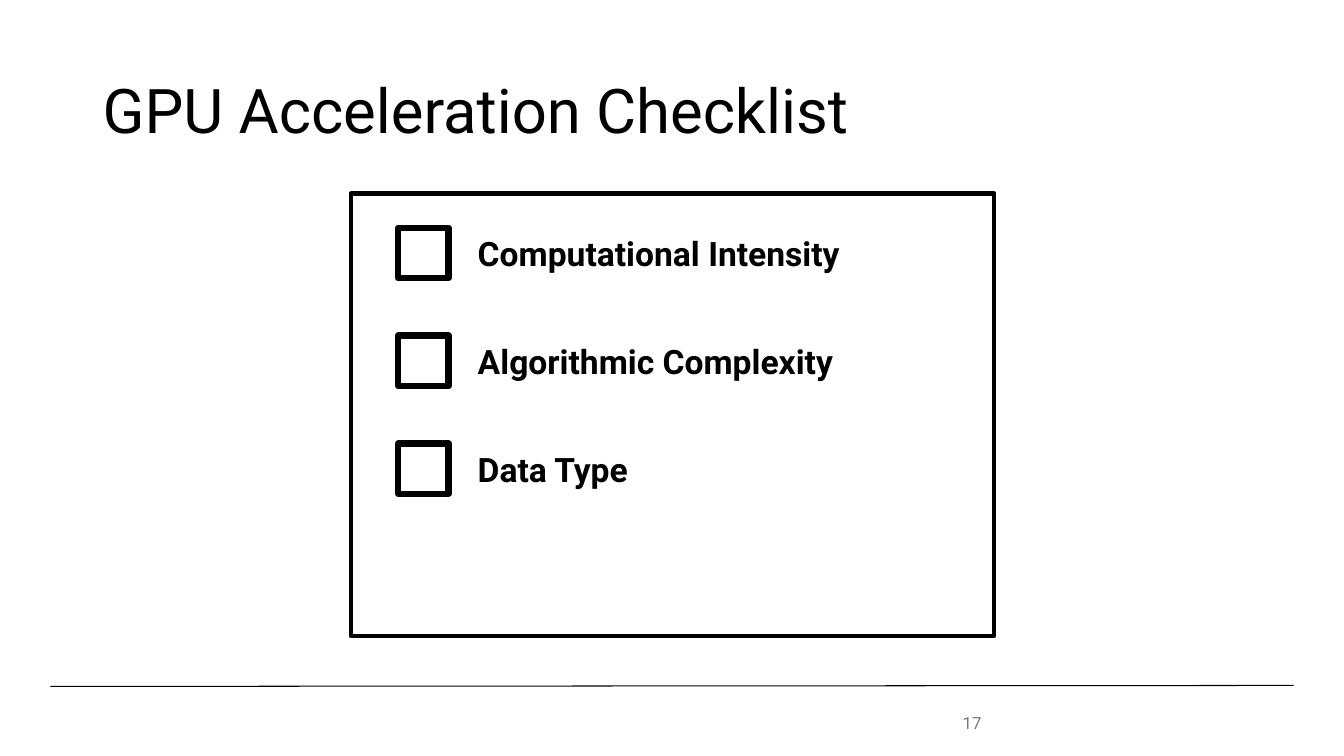
from pptx import Presentation
from pptx.dml.color import RGBColor
from pptx.enum.shapes import MSO_CONNECTOR, MSO_SHAPE
from pptx.enum.text import MSO_ANCHOR
from pptx.oxml.ns import qn
from pptx.util import Pt
from lxml.etree import SubElement

PX = 9144
BLACK = RGBColor.from_string("000000")


def add_text(x, y, w, h, text, size, color="000000", bold=False, anchor=MSO_ANCHOR.TOP):
    tf = s.shapes.add_textbox(x * PX, y * PX, w * PX, h * PX).text_frame
    tf.word_wrap = True
    tf.vertical_anchor = anchor
    p = tf.paragraphs[0]
    r = p.add_run()
    r.text = text
    r.font.name = "Roboto"
    r.font.size = Pt(size)
    r.font.bold = bold
    r.font.color.rgb = RGBColor.from_string(color)
    return p


def add_box(x, y, w, h, line_width):
    sp = s.shapes.add_shape(MSO_SHAPE.RECTANGLE, x * PX, y * PX, w * PX, h * PX)
    sp.shadow.inherit = False
    sp.fill.background()
    sp.line.color.rgb = BLACK
    sp.line.width = Pt(line_width)


prs = Presentation()
prs.slide_width = 1333 * PX
prs.slide_height = 750 * PX
s = prs.slides.add_slide(prs.slide_layouts[6])

rule = s.shapes.add_connector(MSO_CONNECTOR.STRAIGHT, 50 * PX, 681 * PX, 1283 * PX, 680 * PX)
rule.line.color.rgb = BLACK
rule.line.width = Pt(0.75)
SubElement(rule._element.spPr, qn("a:effectLst"))

title = add_text(92, 40, 1150, 145, "GPU Acceleration Checklist", 44, anchor=MSO_ANCHOR.MIDDLE)
title.line_spacing = 0.9

add_box(348, 192, 638, 439, 3)
for i, item in enumerate(["Computational Intensity", "Algorithmic Complexity", "Data Type"]):
    y = 226 + i * 107
    add_box(395, y, 50, 50, 4.5)
    add_text(464, y, 424, 50, item, 24, bold=True)

add_text(945, 697, 225, 40, "17", 12, color="797979", anchor=MSO_ANCHOR.MIDDLE)

prs.save("out.pptx")
